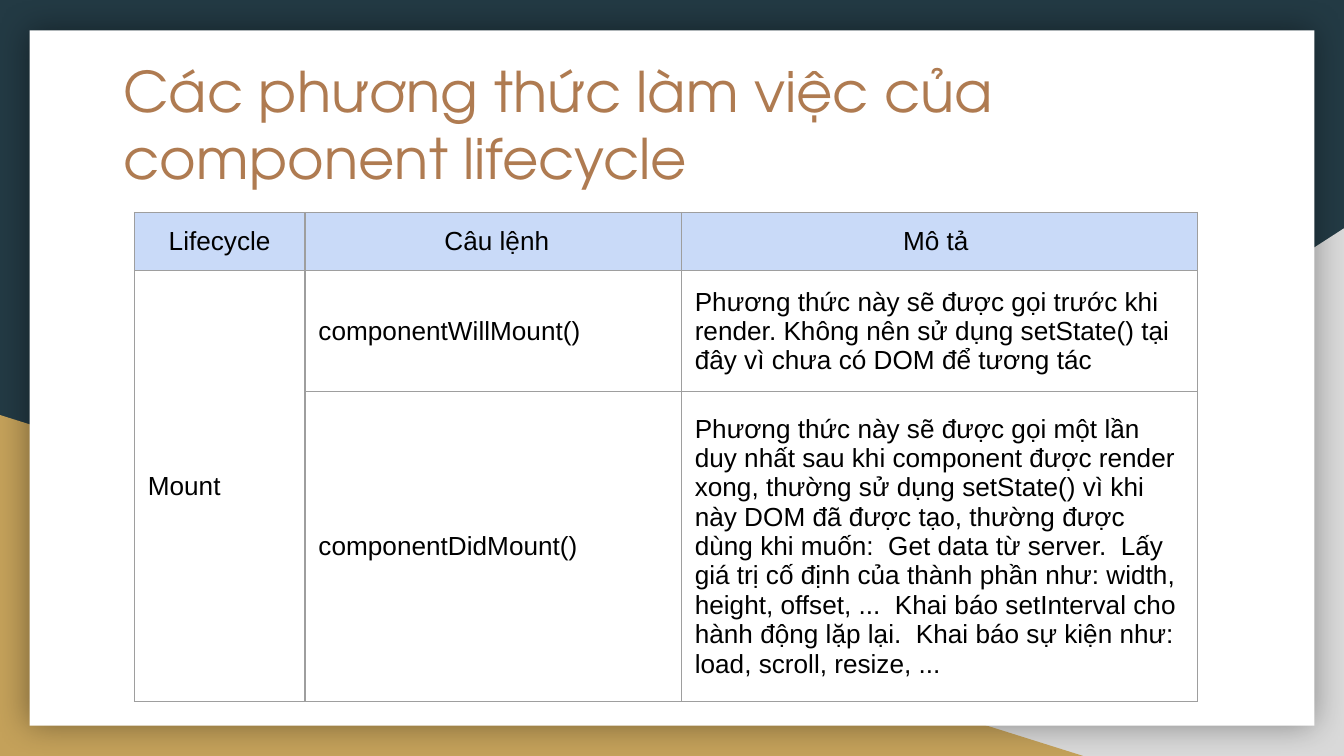
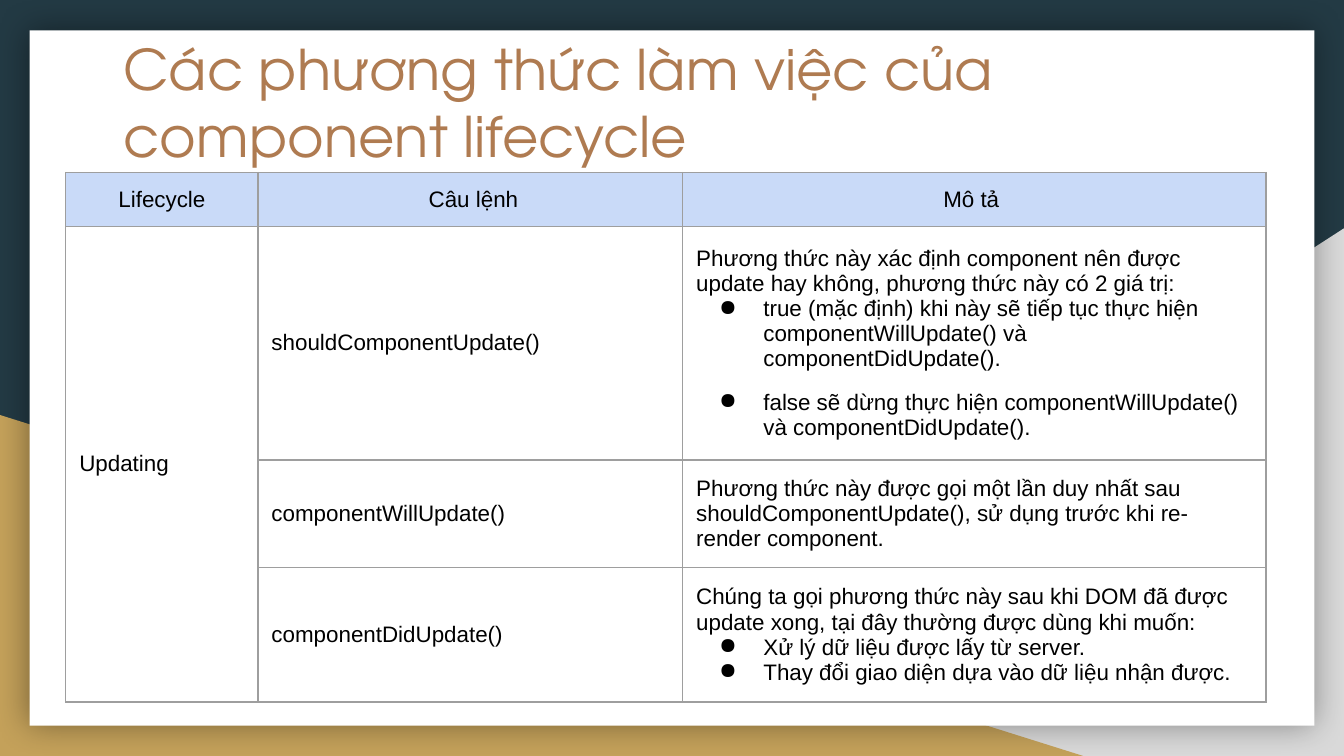
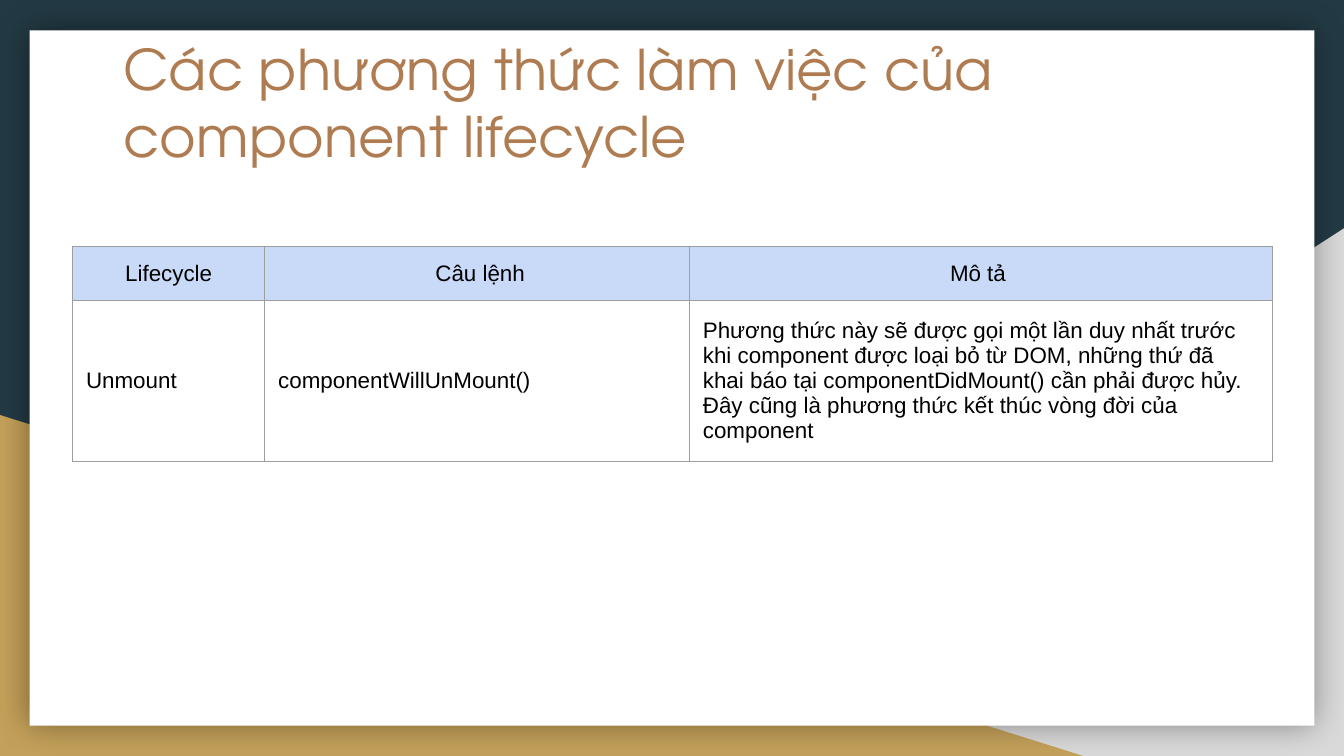
"""Build three slides on the methods of the component lifecycle."""
import pptx
import pptx.dml.color
import pptx.enum.shapes
import pptx.enum.text
import pptx.oxml
import pptx.oxml.ns
import pptx.util
from lxml import etree

COLORS = {
    "night": "233A44", "gray": "D9D9D9", "gold": "C4A15A", "card": "FFFFFF",
    "title": "AF7B51", "text": "000000", "head": "C9DAF8", "line": "9E9E9E",
}
WIDTH, HEIGHT = pptx.util.Inches(10), pptx.util.Inches(5.625)
INSET = pptx.util.Inches(0.1)
TITLE = "Các phương thức làm việc của component lifecycle"
HEADS = ["Lifecycle", " Câu lệnh", "Mô tả "]
SHAPE = pptx.enum.shapes.MSO_SHAPE
ALIGN = pptx.enum.text.PP_ALIGN
ANCHOR = pptx.enum.text.MSO_ANCHOR
WIDE = [14.3, 31.6, 43.4]

MOUNT = [
    ("componentWillMount()",
     "Phương thức này sẽ được gọi trước khi render. Không nên sử dụng "
     "setState() tại đây vì chưa có DOM để tương tác", []),
    ("componentDidMount()",
     "Phương thức này sẽ được gọi một lần duy nhất sau khi component được "
     "render xong, thường sử dụng setState() vì khi này DOM đã được tạo, "
     "thường được dùng khi muốn:  Get data từ server.  Lấy giá trị cố định "
     "của thành phần như: width, height, offset, ...  Khai báo setInterval "
     "cho hành động lặp lại.  Khai báo sự kiện như: load, scroll, resize, ...",
     []),
]
UPDATE = [
    ("shouldComponentUpdate()",
     "Phương thức này xác định component nên được update hay không, "
     "phương thức này có 2 giá trị:",
     [("true (mặc định) khi này sẽ tiếp tục thực hiện "
       "componentWillUpdate() và componentDidUpdate().", 0),
      ("false sẽ dừng thực hiện componentWillUpdate() và "
       "componentDidUpdate().", 10)]),
    ("componentWillUpdate()",
     "Phương thức này được gọi một lần duy nhất sau "
     "shouldComponentUpdate(), sử dụng trước khi re-render component.", []),
    ("componentDidUpdate()",
     "Chúng ta gọi phương thức này sau khi DOM đã được update xong, "
     "tại đây thường được dùng khi muốn:",
     [("Xử lý dữ liệu được lấy từ server.", 0),
      ("Thay đổi giao diện dựa vào dữ liệu nhận được.", 0)]),
]
UNMOUNT = [
    ("componentWillUnMount()",
     "Phương thức này sẽ được gọi một lần duy nhất trước khi component được "
     "loại bỏ từ DOM, những thứ đã khai báo tại componentDidMount() cần phải "
     "được hủy. Đây cũng là phương thức kết thúc vòng đời của component", []),
]


def rgb(name):
    """Give the named colour."""
    return pptx.dml.color.RGBColor.from_string(COLORS[name])


def across(share):
    """Turn a percentage of the slide's width into a length."""
    return int(WIDTH * share / 100)


def down(share):
    """Turn a percentage of the slide's height into a length."""
    return int(HEIGHT * share / 100)


def box(left, top, width, height):
    """Turn four percentages into a place on the slide."""
    return across(left), down(top), across(width), down(height)


def add(parent, tag, **attrs):
    """Append a drawing element with its attributes."""
    child = etree.SubElement(parent, pptx.oxml.ns.qn("a:" + tag))
    for key, value in attrs.items():
        child.set(key, str(value))
    return child


def panel(slide, kind, place, color):
    """Draw a plain filled shape without a line."""
    shape = slide.shapes.add_shape(kind, *box(*place))
    shape.shadow.inherit = False
    shape.fill.solid()
    shape.fill.fore_color.rgb = rgb(color)
    shape.line.fill.background()
    return shape


def backdrop(slide):
    """Draw the dark ground, two wedges and the white card."""
    slide.background.fill.solid()
    slide.background.fill.fore_color.rgb = rgb("night")
    wedge = panel(slide, SHAPE.RIGHT_TRIANGLE, (39.2, 30.2, 60.8, 69.8), "gray")
    wedge.element.spPr.get_or_add_xfrm().set("flipH", "1")
    panel(slide, SHAPE.RIGHT_TRIANGLE, (0, 54.9, 80.6, 45.1), "gold")
    card = panel(slide, SHAPE.RECTANGLE, (2.2, 4, 95.6, 92), "card")
    effects = card.element.spPr.find(pptx.oxml.ns.qn("a:effectLst"))
    glow = add(effects, "outerShdw", blurRad=pptx.util.Pt(18), dist=0, dir=0,
               algn="ctr", rotWithShape=0)
    add(add(glow, "srgbClr", val=COLORS["text"]), "alpha", val=40000)


def style(para, size, face, color):
    """Set the font of a paragraph."""
    para.font.size = pptx.util.Pt(size)
    para.font.name = face
    para.font.color.rgb = rgb(color)


def title(slide, top):
    """Place the shared title at the given height."""
    frame = slide.shapes.add_textbox(*box(8.2, top, 75.8, 18.5)).text_frame
    frame.word_wrap = True
    frame.margin_left = frame.margin_right = INSET
    frame.margin_top = frame.margin_bottom = INSET
    frame.text = TITLE
    style(frame.paragraphs[0], 30, "TeX Gyre Adventor", "title")


def bullet(para, gap):
    """Give a paragraph a hanging bullet and space around it."""
    props = para._p.get_or_add_pPr()
    props.set("marL", str(pptx.util.Inches(0.5)))
    props.set("indent", str(pptx.util.Inches(-0.33)))
    add(add(props, "buClr"), "srgbClr", val=COLORS["text"])
    add(props, "buChar", char="●")
    para.space_before = para.space_after = pptx.util.Pt(gap)


def border(cell):
    """Draw thin lines on all four sides of a cell."""
    props = cell._tc.get_or_add_tcPr()
    for spot, side in enumerate(("lnL", "lnR", "lnT", "lnB")):
        line = add(props, side, w=pptx.util.Pt(0.75))
        add(add(line, "solidFill"), "srgbClr", val=COLORS["line"])
        props.insert(spot, line)


def write(cell, text, size, points=(), head=False):
    """Fill a cell with a paragraph and any bullet points."""
    cell.margin_left = cell.margin_right = INSET
    cell.margin_top = cell.margin_bottom = INSET
    cell.vertical_anchor = ANCHOR.MIDDLE
    frame = cell.text_frame
    frame.text = text
    for point, gap in points:
        para = frame.add_paragraph()
        para.text = point
        bullet(para, gap)
    for para in frame.paragraphs:
        para.alignment = ALIGN.CENTER if head else ALIGN.LEFT
        style(para, size, "Arial", "text")


def grid(slide, left, top, cols, rows, size, phase, steps):
    """Draw the table of one phase with its commands."""
    place = box(left, top, sum(cols), sum(rows))
    table = slide.shapes.add_table(len(rows), len(cols), *place).table
    table.first_row = table.horz_banding = False
    for col, share in zip(table.columns, cols):
        col.width = across(share)
    for row, share in zip(table.rows, rows):
        row.height = down(share)
    for cell in table.iter_cells():
        cell.fill.background()
        border(cell)
    for col, text in enumerate(HEADS):
        cell = table.cell(0, col)
        cell.fill.solid()
        cell.fill.fore_color.rgb = rgb("head")
        write(cell, text, size, head=True)
    write(table.cell(1, 0), phase, size)
    for row, (call, about, points) in enumerate(steps, 1):
        write(table.cell(row, 1), call, size)
        write(table.cell(row, 2), about, size, points)
    if len(steps) > 1:
        table.cell(1, 0).merge(table.cell(len(steps), 0))


def main():
    """Build and save the deck."""
    deck = pptx.Presentation()
    deck.slide_width, deck.slide_height = WIDTH, HEIGHT
    pages = [
        (5.7, (10, 28.1, [12.7, 28, 38.4], [7.64, 15.8, 40.3], 14,
               "Mount", MOUNT)),
        (2.8, (4.9, 22.8, WIDE, [6.9, 29.2, 13.5, 16.7], 12,
               "Updating", UPDATE)),
        (2.8, (5.4, 32.6, WIDE, [6.9, 20.1], 12, "Unmount", UNMOUNT)),
    ]
    for top, content in pages:
        slide = deck.slides.add_slide(deck.slide_layouts[6])
        backdrop(slide)
        title(slide, top)
        grid(slide, *content)
    deck.save("out.pptx")


if __name__ == "__main__":
    main()
